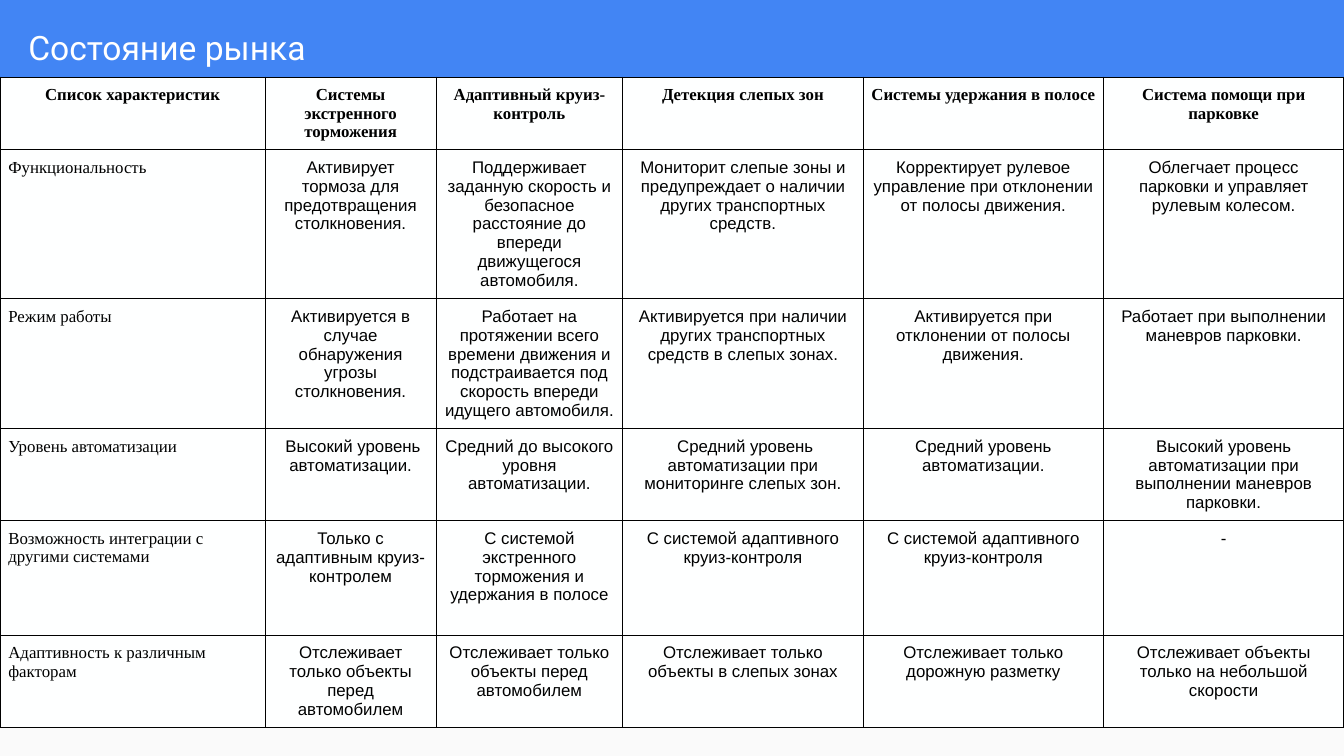
from pptx import Presentation
from pptx.dml.color import RGBColor
from pptx.enum.shapes import MSO_SHAPE as Shape
from pptx.enum.text import MSO_ANCHOR as Anchor, PP_ALIGN as Align
from pptx.oxml import parse_xml
from pptx.oxml.ns import nsdecls
from pptx.util import Pt

SERIF, SANS = "Times New Roman", "Arial"
COLUMN_WIDTHS = [142, 91.6, 100] + [128.8] * 3
ROW_HEIGHTS = [38.9, 79.9, 69.1, 49, 61.2, 49]
ROWS = [
    ["Список характеристик", "Системы экстренного торможения",
     "Адаптивный круиз-контроль", "Детекция слепых зон",
     "Системы удержания в полосе", "Система помощи при парковке"],
    ["Функциональность",
     "Активирует тормоза для предотвращения столкновения.",
     "Поддерживает заданную скорость и безопасное расстояние до впереди "
     "движущегося автомобиля.",
     "Мониторит слепые зоны и предупреждает о наличии других транспортных средств.",
     "Корректирует рулевое управление при отклонении от полосы движения.",
     "Облегчает процесс парковки и управляет рулевым колесом."],
    ["Режим работы",
     "Активируется в случае обнаружения угрозы столкновения.",
     "Работает на протяжении всего времени движения и подстраивается под "
     "скорость впереди идущего автомобиля.",
     "Активируется при наличии других транспортных средств в слепых зонах.",
     "Активируется при отклонении от полосы движения.",
     "Работает при выполнении маневров парковки."],
    ["Уровень автоматизации",
     " Высокий уровень автоматизации.",
     "Средний до высокого уровня автоматизации.",
     " Средний уровень автоматизации при мониторинге слепых зон.",
     "Средний уровень автоматизации.",
     "Высокий уровень автоматизации при выполнении маневров парковки."],
    ["Возможность интеграции с другими системами",
     "Только с адаптивным круиз-контролем",
     "С системой экстренного торможения и удержания в полосе",
     "С системой адаптивного круиз-контроля",
     "С системой адаптивного круиз-контроля",
     "-"],
    ["Адаптивность к различным факторам",
     "Отслеживает только объекты перед автомобилем",
     "Отслеживает только объекты перед автомобилем",
     "Отслеживает только объекты в слепых зонах",
     "Отслеживает только дорожную разметку",
     "Отслеживает объекты только на небольшой скорости"],
]


def paint(fill, color):
    fill.solid()
    fill.fore_color.rgb = RGBColor.from_string(color)


def write(frame, text, *, size, font, color="000000", bold=False,
          align=Align.LEFT, space=0):
    para = frame.paragraphs[0]
    para.alignment = align
    para.space_before = para.space_after = Pt(space)
    span = para.add_run()
    span.text = text
    span.font.size, span.font.name, span.font.bold = Pt(size), font, bold
    paint(span.font.fill, color)


def set_margins(target, margin):
    target.margin_left = target.margin_right = Pt(margin)
    target.margin_top = target.margin_bottom = Pt(margin)


class SlideBuilder:
    background, panel_fill, cell_fill, border = "4285F4", "FAFAFA", "FEFFFF", "000000"
    border_width = 0.6

    def __init__(self, deck):
        self.page = deck.slides.add_slide(deck.slide_layouts[5])
        paint(self.page.background.fill, self.background)

    def panel(self, left, top, width, height):
        box = self.page.shapes.add_shape(
            Shape.RECTANGLE, Pt(left), Pt(top), Pt(width), Pt(height))
        box.shadow.inherit = False
        box.line.fill.background()
        paint(box.fill, self.panel_fill)

    def title(self, text, left, top, width, height):
        box = self.page.shapes.title
        box.left, box.top, box.width, box.height = map(Pt, (left, top, width, height))
        frame = box.text_frame
        frame.word_wrap = True
        frame.vertical_anchor = Anchor.MIDDLE
        set_margins(frame, 7.2)
        write(frame, text, size=18, font="Roboto", color="FFFFFF")

    def outline(self, cell):
        properties = cell._tc.get_or_add_tcPr()
        for side in "LRTB":
            properties.append(parse_xml(
                f'<a:ln{side} {nsdecls("a")} w="{Pt(self.border_width)}"><a:solidFill>'
                f'<a:srgbClr val="{self.border}"/></a:solidFill></a:ln{side}>'))

    def table(self, rows, left, top, widths, heights):
        grid = self.page.shapes.add_table(
            len(rows), len(widths), Pt(left), Pt(top),
            Pt(sum(widths)), Pt(sum(heights))).table
        grid.first_row = grid.horz_banding = False
        for column, width in zip(grid.columns, widths):
            column.width = Pt(width)
        for row, height in zip(grid.rows, heights):
            row.height = Pt(height)
        for r, texts in enumerate(rows):
            for c, text in enumerate(texts):
                cell = grid.cell(r, c)
                header, label = r == 0, r > 0 and c == 0
                set_margins(cell, 4.5)
                self.outline(cell)
                paint(cell.fill, self.cell_fill)
                write(cell.text_frame, text, size=9, bold=header, space=12,
                      font=SERIF if header or label else SANS,
                      align=Align.LEFT if label else Align.CENTER)


def main():
    deck = Presentation()
    deck.slide_width, deck.slide_height = Pt(720), Pt(405)
    slide = SlideBuilder(deck)

    # Blue heading band above a light panel
    slide.panel(0, 51.6, 720, 353.4)
    slide.title("Состояние рынка", 8, 1.5, 695, 47.5)

    # Comparison of driver assistance systems
    slide.table(ROWS, 0, 41.3, COLUMN_WIDTHS, ROW_HEIGHTS)

    deck.save("out.pptx")


if __name__ == "__main__":
    main()
